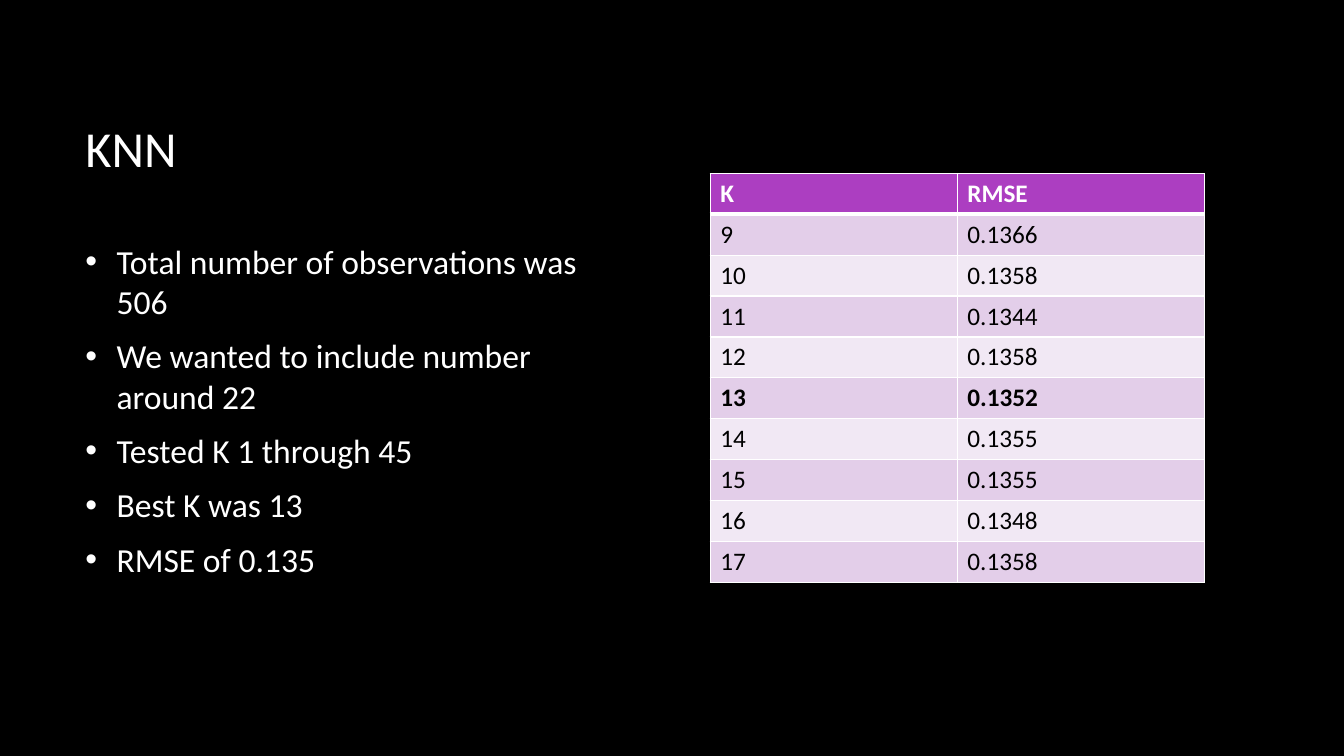
from dataclasses import dataclass

from lxml.etree import SubElement
from pptx import Presentation
from pptx.dml.color import RGBColor
from pptx.enum.text import MSO_ANCHOR, PP_ALIGN
from pptx.oxml.ns import qn
from pptx.util import Cm, Pt

TITLE = "KNN"
POINTS = [
    "Total number of observations was 506",
    "We wanted to include number around 22",
    "Tested K 1 through 45",
    "Best K was 13",
    "RMSE of 0.135",
]
HEADS = ("K", "RMSE")
SCORES = {
    9: "0.1366",
    10: "0.1358",
    11: "0.1344",
    12: "0.1358",
    13: "0.1352",
    14: "0.1355",
    15: "0.1355",
    16: "0.1348",
    17: "0.1358",
}
BEST = 13


@dataclass(frozen=True)
class Theme:
    font: str = "Calibri"
    back: str = "000000"
    light: str = "FFFFFF"
    dark: str = "000000"
    head: str = "AC3EC1"
    bands: tuple = ("E3CEE9", "F1E8F4")
    title: int = 36
    body: int = 24
    cell: int = 18
    thin: int = 1
    thick: int = 3


theme = Theme()


def style(para, size, color, bold=False):
    font = para.font
    font.name, font.size, font.bold = theme.font, Pt(size), bold
    font.color.rgb = RGBColor.from_string(color)


def paint(fill, color):
    fill.solid()
    fill.fore_color.rgb = RGBColor.from_string(color)


def add_color(node, color):
    SubElement(node, qn("a:srgbClr"), val=color)


def add_bullet(para):
    indent = Cm(0.79)
    props = para._p.get_or_add_pPr()
    props.set("marL", str(indent))
    props.set("indent", str(-indent))
    add_color(SubElement(props, qn("a:buClr")), theme.light)
    SubElement(props, qn("a:buFont"), typeface="Arial")
    SubElement(props, qn("a:buChar"), char="•")


def add_edges(cell, top, bottom):
    props = cell._tc.get_or_add_tcPr()
    widths = {"lnL": theme.thin, "lnR": theme.thin, "lnT": top, "lnB": bottom}
    for side, width in widths.items():
        line = SubElement(props, qn(f"a:{side}"), w=str(Pt(width)))
        add_color(SubElement(line, qn("a:solidFill")), theme.light)


def add_title(slide):
    title = slide.shapes.title
    title.left, title.top = Cm(1.9), Cm(1.7)
    title.width, title.height = Cm(28.15), Cm(4.04)
    frame = title.text_frame
    frame.text = TITLE
    frame.vertical_anchor = MSO_ANCHOR.MIDDLE
    para = frame.paragraphs[0]
    para.alignment = PP_ALIGN.LEFT
    style(para, theme.title, theme.light)


def add_points(slide):
    box = slide.shapes.add_textbox(Cm(1.9), Cm(5.94), Cm(13.87), Cm(10.13))
    frame = box.text_frame
    frame.word_wrap = True
    frame.text = "\n".join(POINTS)
    for para in frame.paragraphs:
        para.space_after = Pt(10)
        add_bullet(para)
        style(para, theme.body, theme.light)


def add_scores(slide):
    rows = [HEADS, *SCORES.items()]
    high = Cm(1.03)
    table = slide.shapes.add_table(
        len(rows), len(HEADS), Cm(17.9), Cm(4.37), Cm(12.45), high * len(rows)
    ).table
    for r, row in enumerate(rows):
        table.rows[r].height = high
        head = r == 0
        back = theme.head if head else theme.bands[(r - 1) % 2]
        color = theme.light if head else theme.dark
        top = theme.thick if r == 1 else theme.thin
        bottom = theme.thick if head else theme.thin
        for c, value in enumerate(row):
            cell = table.cell(r, c)
            cell.text = str(value)
            add_edges(cell, top, bottom)
            paint(cell.fill, back)
            style(cell.text_frame.paragraphs[0], theme.cell, color,
                  head or row[0] == BEST)


def main():
    deck = Presentation()
    deck.slide_width, deck.slide_height = Cm(33.87), Cm(19.05)
    slide = deck.slides.add_slide(deck.slide_layouts[5])
    paint(slide.background.fill, theme.back)
    add_title(slide)
    add_points(slide)
    add_scores(slide)
    deck.save("out.pptx")


if __name__ == "__main__":
    main()
